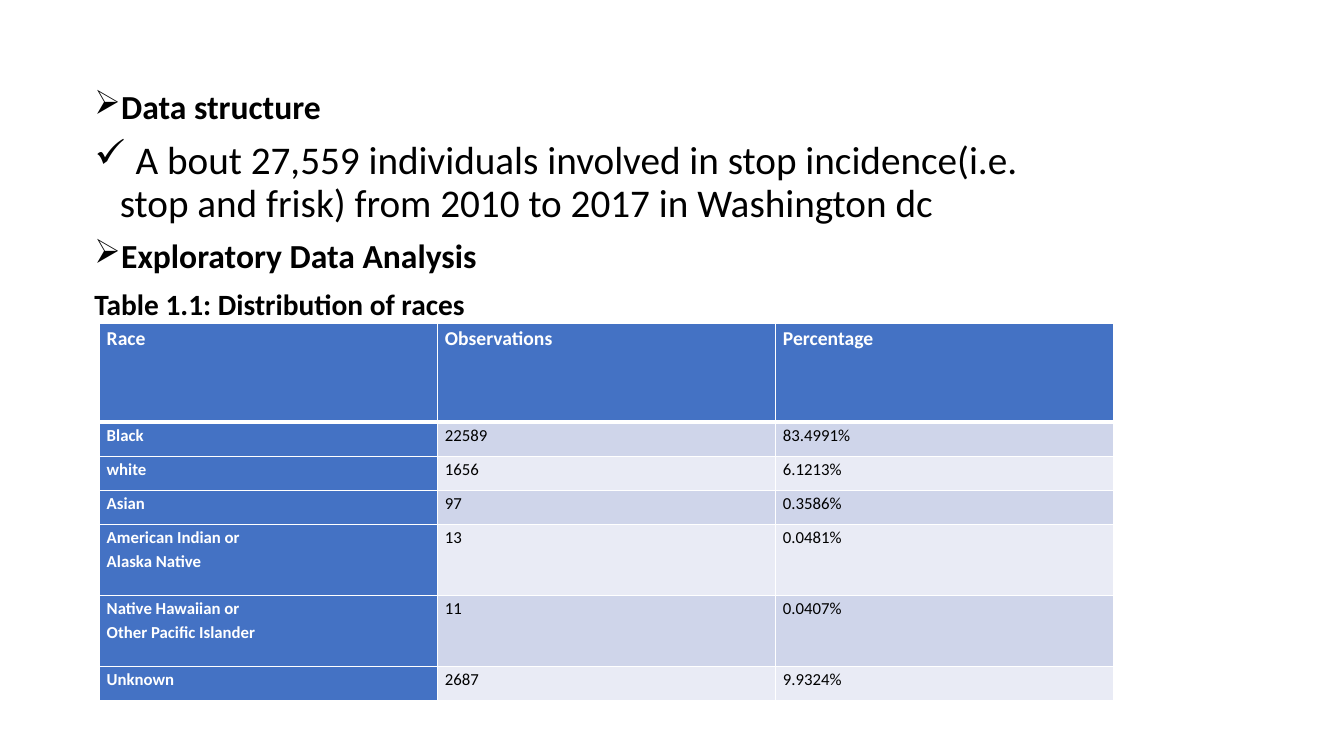
"""Build the slide on data structure and distribution of races."""
from lxml import etree
from pptx import Presentation
from pptx.dml.color import RGBColor
from pptx.oxml import ns
from pptx.util import Cm, Pt

ARROW, CHECK = "\u00d8", "\u00fc"
LINES = [
    (ARROW, "Data structure", 24, True),
    (CHECK, " A bout 27,559 individuals involved in stop incidence(i.e. "
     "stop and frisk) from 2010 to 2017 in Washington dc", 28, False),
    (ARROW, "Exploratory Data Analysis", 24, True),
    ("", "Table 1.1: Distribution of races", 21, True),
]
RACES = [
    ("Race", "Observations", "Percentage"),
    ("Black", "22589", "83.4991%"),
    ("white", "1656", "6.1213%"),
    ("Asian", "97", "0.3586%"),
    ("American Indian or\nAlaska Native", "13", "0.0481%"),
    ("Native Hawaiian or\nOther Pacific Islander", "11", "0.0407%"),
    ("Unknown", "2687", "9.9324%"),
]
HEAD, ROW, TALL = Cm(2.49), Cm(0.86), Cm(1.79)
COL = Cm(8.52)
FONT = "Calibri"
BLACK = RGBColor(0, 0, 0)
WHITE = RGBColor(255, 255, 255)
BLUE = RGBColor(0x44, 0x72, 0xC4)
BANDS = RGBColor(0xE9, 0xEB, 0xF5), RGBColor(0xCF, 0xD5, 0xEA)


def style(para, size, bold, color, gap):
    """Set the font and line spacing of a paragraph."""
    para.line_spacing = gap
    for run in para.runs:
        font = run.font
        font.name, font.size, font.bold = FONT, Pt(size), bold
        font.color.rgb = color


def bullet(para, mark):
    """Give a paragraph a hanging bullet from the symbol font."""
    props = para._p.get_or_add_pPr()
    props.set("marL", str(Cm(0.64)))
    props.set("indent", str(-Cm(0.64)))
    etree.SubElement(props, ns.qn("a:buFont"), typeface="Wingdings",
                     pitchFamily="2", charset="2")
    etree.SubElement(props, ns.qn("a:buChar"), char=mark)


def border(cell, low):
    """Draw white borders, each one point wide but for the given sides."""
    props = cell._tc.get_or_add_tcPr()
    for at, side in enumerate("LRTB"):
        line = etree.Element(ns.qn("a:ln" + side))
        line.set("w", str(Pt(low.get(side, 1))))
        fill = etree.SubElement(line, ns.qn("a:solidFill"))
        etree.SubElement(fill, ns.qn("a:srgbClr")).set("val", str(WHITE))
        props.insert(at, line)


deck = Presentation()
deck.slide_width, deck.slide_height = Cm(33.87), Cm(19.05)
slide = deck.slides.add_slide(deck.slide_layouts[6])

body = slide.shapes.add_textbox(Cm(2.13), Cm(2.16), Cm(23.88), Cm(15.7))
frame = body.text_frame
frame.word_wrap = True
frame.text = "\n".join(words for _, words, _, _ in LINES)
for para, (mark, _, size, bold) in zip(frame.paragraphs, LINES):
    style(para, size, bold, BLACK, 0.9)
    para.space_before = Pt(10)
    if mark:
        bullet(para, mark)

tall = [HEAD] + [TALL if "\n" in race else ROW for race, _, _ in RACES[1:]]
grid = slide.shapes.add_table(len(RACES), 3, Cm(2.51), Cm(8.15),
                              3 * COL, sum(tall)).table
for col in grid.columns:
    col.width = COL
for r, row in enumerate(RACES):
    grid.rows[r].height = tall[r]
    for c, words in enumerate(row):
        cell = grid.cell(r, c)
        label = r == 0 or c == 0
        cell.margin_left = cell.margin_right = Cm(0.18)
        cell.margin_top = cell.margin_bottom = 0
        cell.fill.solid()
        cell.fill.fore_color.rgb = BLUE if label else BANDS[r % 2]
        border(cell, {0: {"B": 3}, 1: {"T": 3}}.get(r, {}))
        cell.text_frame.text = words
        for para in cell.text_frame.paragraphs:
            style(para, 12 if r else 14, label, WHITE if label else BLACK, 1.15)

deck.save("out.pptx")
